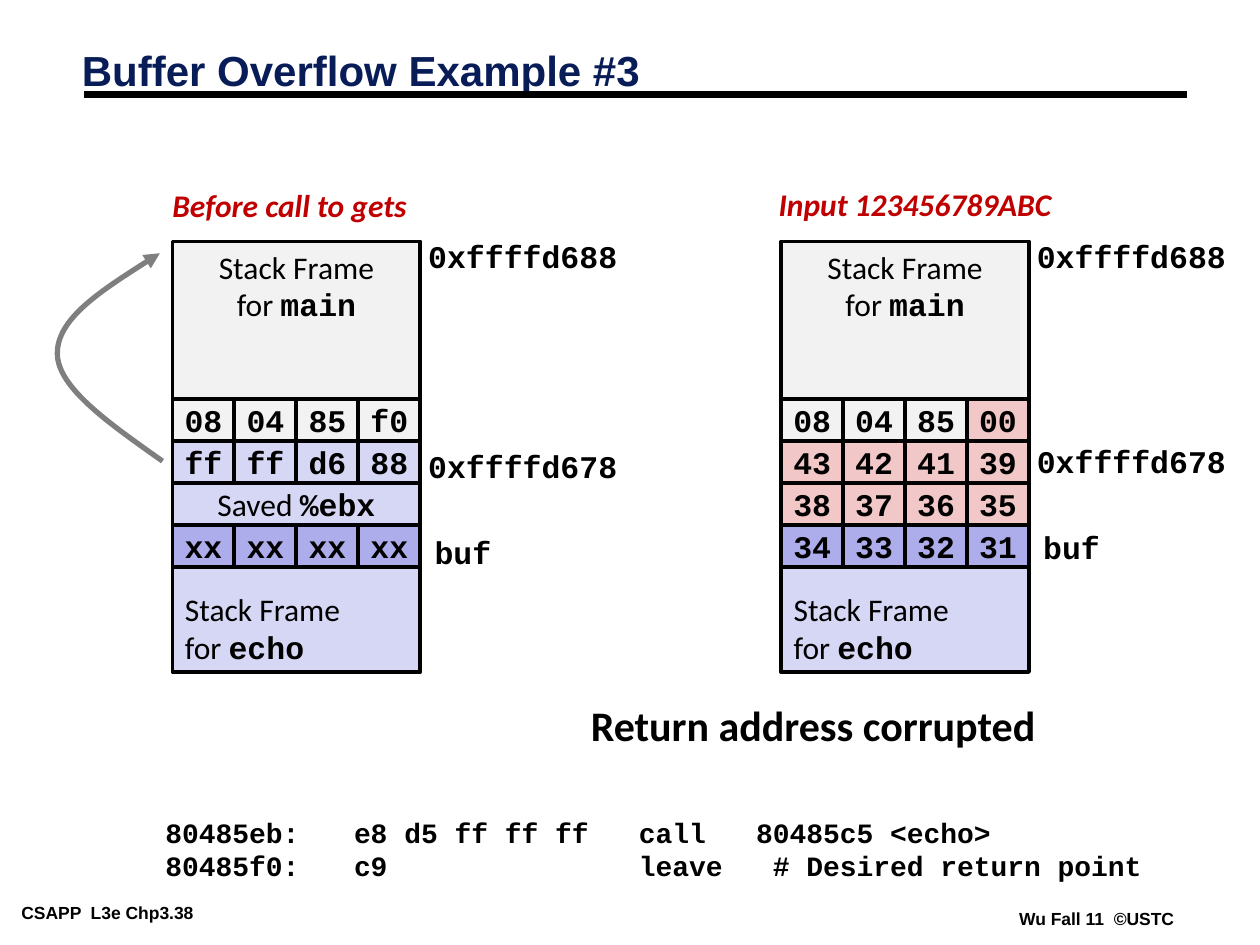
from dataclasses import dataclass
from typing import NamedTuple

from lxml import etree
from pptx import Presentation
from pptx.dml.color import RGBColor
from pptx.enum.shapes import MSO_CONNECTOR, MSO_SHAPE
from pptx.enum.text import MSO_ANCHOR, MSO_AUTO_SIZE, PP_ALIGN
from pptx.oxml.ns import qn
from pptx.util import Pt

LINE = MSO_CONNECTOR.STRAIGHT
RECT = MSO_SHAPE.RECTANGLE
LEFT, CENTER = PP_ALIGN.LEFT, PP_ALIGN.CENTER
TOP, MIDDLE, BOTTOM = MSO_ANCHOR.TOP, MSO_ANCHOR.MIDDLE, MSO_ANCHOR.BOTTOM
FIT, FIXED = MSO_AUTO_SIZE.SHAPE_TO_FIT_TEXT, MSO_AUTO_SIZE.NONE

BLACK, NAVY, RED, GRAY = "000000", "081D58", "C00000", "7F7F7F"
PALE, LILAC, VIOLET, PINK = "F2F2F2", "D6D6F5", "ADADEB", "F1C7C7"

BODY = dict(name="Calibri", size=Pt(18), bold=False)
MONO = dict(name="Courier New", size=Pt(18), bold=True)
CODE = MONO | dict(size=Pt(16))
HEADING = BODY | dict(bold=True, italic=True)
CALLOUT = BODY | dict(size=Pt(24), bold=True)
TITLE = dict(name="Arial", size=Pt(24), bold=True)
FOOTER = TITLE | dict(size=Pt(10))

STACK_TOP, STACK_W = 138, 141.6
MAIN_H, ROW_H, ECHO_H = 90, 24, 108


class Run(NamedTuple):
    text: str
    fmt: dict
    color: str = BLACK


class Cell(NamedTuple):
    runs: list[Run]
    fill: str


@dataclass
class Label:
    x: float
    y: float
    w: float
    h: float
    lines: list[list[Run]]
    wrap: bool = False
    pad: tuple[float, float] = (7.2, 3.6)
    tabs: tuple[float, ...] = ()


@dataclass
class Stack:
    x: float
    rows: list[list[Cell]]


def rgb(value: str) -> RGBColor:
    return RGBColor.from_string(value)


def set_attrs(obj, values: dict) -> None:
    for name, value in values.items():
        setattr(obj, name, value)


def add_runs(p, runs: list[Run]) -> None:
    for run in runs:
        r = p.add_run()
        r.text = run.text
        set_attrs(r.font, run.fmt)
        r.font.color.rgb = rgb(run.color)


def write(tf, lines: list[list[Run]], align=LEFT, tabs=()) -> None:
    for i, runs in enumerate(lines):
        p = tf.paragraphs[0] if i == 0 else tf.add_paragraph()
        p.alignment = align
        if tabs:
            tab_list = etree.SubElement(p._p.get_or_add_pPr(), qn("a:tabLst"))
            for pos in tabs:
                etree.SubElement(tab_list, qn("a:tab"), pos=str(Pt(pos)), algn="l")
        add_runs(p, runs)


def add_label(s, label: Label) -> None:
    sp = s.shapes.add_textbox(Pt(label.x), Pt(label.y), Pt(label.w), Pt(label.h))
    tf = sp.text_frame
    dx, dy = map(Pt, label.pad)
    set_attrs(tf, dict(word_wrap=label.wrap, auto_size=FIT, margin_left=dx,
                       margin_right=dx, margin_top=dy, margin_bottom=dy))
    write(tf, label.lines, tabs=label.tabs)


def add_box(s, x: float, y: float, w: float, h: float, fill: str,
            lines: list[list[Run]], align=CENTER, anchor=MIDDLE) -> None:
    sp = s.shapes.add_shape(RECT, Pt(x), Pt(y), Pt(w), Pt(h))
    sp.shadow.inherit = False
    sp.fill.solid()
    sp.fill.fore_color.rgb = rgb(fill)
    sp.line.color.rgb = rgb(BLACK)
    sp.line.width = Pt(2.25)
    set_attrs(sp.text_frame, dict(word_wrap=False, auto_size=FIXED, vertical_anchor=anchor))
    write(sp.text_frame, lines, align)


def frame_text(function: str) -> list[list[Run]]:
    return [[Run("Stack Frame", BODY)], [Run("for ", BODY), Run(function, MONO)]]


def add_stack(s, stack: Stack) -> None:
    rows_top = STACK_TOP + MAIN_H
    echo_top = rows_top + 2 * ROW_H
    add_box(s, stack.x, echo_top, STACK_W, ECHO_H, LILAC, frame_text("echo"), LEFT, BOTTOM)
    add_box(s, stack.x, STACK_TOP, STACK_W, MAIN_H, PALE, frame_text("main"), anchor=TOP)
    for i, row in enumerate(stack.rows):
        w = STACK_W / len(row)
        for j, cell in enumerate(row):
            add_box(s, stack.x + j * w, rows_top + i * ROW_H, w, ROW_H, cell.fill, [cell.runs])


def byte_row(text: str, *fills: str) -> list[Cell]:
    values = text.split()
    colors = fills if len(fills) > 1 else fills * len(values)
    return [Cell([Run(v, MONO)], c) for v, c in zip(values, colors)]


def add_rule(s, x1: float, x2: float, y: float) -> None:
    line = s.shapes.add_connector(LINE, Pt(x1), Pt(y), Pt(x2), Pt(y))
    line.line.color.rgb = rgb(BLACK)
    line.line.width = Pt(4.5)
    etree.SubElement(line._element.spPr, qn("a:effectLst"))


def add_curved_arrow(s, start: tuple, curves: list[tuple]) -> None:
    fb = s.shapes.build_freeform(Pt(start[0]), Pt(start[1]))
    fb.add_line_segments([(Pt(x), Pt(y)) for *_, (x, y) in curves], close=False)
    sp = fb.convert_to_shape()
    sp.shadow.inherit = False
    sp.fill.background()
    sp.line.color.rgb = rgb(GRAY)
    sp.line.width = Pt(3)
    etree.SubElement(sp.line._get_or_add_ln(), qn("a:tailEnd"), type="triangle")
    for seg, points in zip(list(sp._element.iter(qn("a:lnTo"))), curves):
        bezier = etree.Element(qn("a:cubicBezTo"))
        for x, y in points:
            etree.SubElement(bezier, qn("a:pt"), x=str(Pt(x) - sp.left), y=str(Pt(y) - sp.top))
        seg.getparent().replace(seg, bezier)


def add_title(s, text: str) -> None:
    sp = s.shapes.title
    set_attrs(sp, dict(left=Pt(39.6), top=Pt(25.9), width=Pt(615), height=Pt(32.4)))
    set_attrs(sp.text_frame, dict(word_wrap=True, auto_size=FIXED, vertical_anchor=MIDDLE))
    write(sp.text_frame, [[Run(text, TITLE, NAVY)]])
    sp.text_frame.paragraphs[0].line_spacing = 0.87


STACKS = [
    Stack(98.6, [
        byte_row("08 04 85 f0", PALE),
        byte_row("ff ff d6 88", LILAC),
        [Cell([Run("Saved ", BODY), Run("%ebx", MONO)], LILAC)],
        byte_row("xx xx xx xx", VIOLET),
    ]),
    Stack(446.4, [
        byte_row("08 04 85 00", PALE, PALE, PALE, PINK),
        byte_row("43 42 41 39", PINK),
        byte_row("38 37 36 35", PINK),
        byte_row("34 33 32 31", VIOLET),
    ]),
]

LABELS = [
    Label(7.2, 513.4, 145.4, 15.8, [[Run("CSAPP  L3e Chp3.38", FOOTER)]], pad=(5, 2.2)),
    Label(577.4, 516.4, 99.4, 15.8, [[Run("Wu Fall 11  ©USTC", FOOTER)]], pad=(5, 2.2)),
    Label(330.5, 396, 270, 36, [[Run("Return address corrupted", CALLOUT)]]),
    Label(91.4, 103, 149, 28.8, [[Run("Before call to gets", HEADING, RED)]]),
    Label(437.8, 102.3, 222.5, 28.8, [[Run("Input 123456789ABC", HEADING, RED)]], wrap=True),
    Label(237.6, 131.8, 122.4, 28.8, [[Run("0xffffd688", MONO)]]),
    Label(237.6, 252, 122.4, 28.8, [[Run("0xffffd678", MONO)]]),
    Label(241.2, 301, 46.8, 28.8, [[Run("buf", MONO)]]),
    Label(585.4, 131.8, 122.4, 28.8, [[Run("0xffffd688", MONO)]]),
    Label(585.4, 249.1, 122.4, 28.8, [[Run("0xffffd678", MONO)]]),
    Label(589, 298.1, 46.8, 28.8, [[Run("buf", MONO)]]),
    Label(77.8, 462.2, 630, 46, [
        [Run(" 80485eb:\te8 d5 ff ff ff   call   80485c5 <echo>", CODE)],
        [Run(" 80485f0:\tc9               leave   # Desired return point", CODE)],
    ], wrap=True, tabs=(36, 117.4)),
]


def main() -> None:
    prs = Presentation()
    prs.slide_width, prs.slide_height = Pt(720), Pt(540)
    s = prs.slides.add_slide(prs.slide_layouts[5])
    add_rule(s, 48.2, 678.2, 54)
    add_title(s, "Buffer Overflow Example #3")
    for stack in STACKS:
        add_stack(s, stack)
    add_curved_arrow(s, (92.9, 263.5), [
        ((63.4, 242.6), (33.1, 221.8), (32.8, 202.3)),
        ((32.4, 182.2), (61.9, 163.4), (91.4, 144.7)),
    ])
    for label in LABELS:
        add_label(s, label)
    prs.save("out.pptx")


if __name__ == "__main__":
    main()
